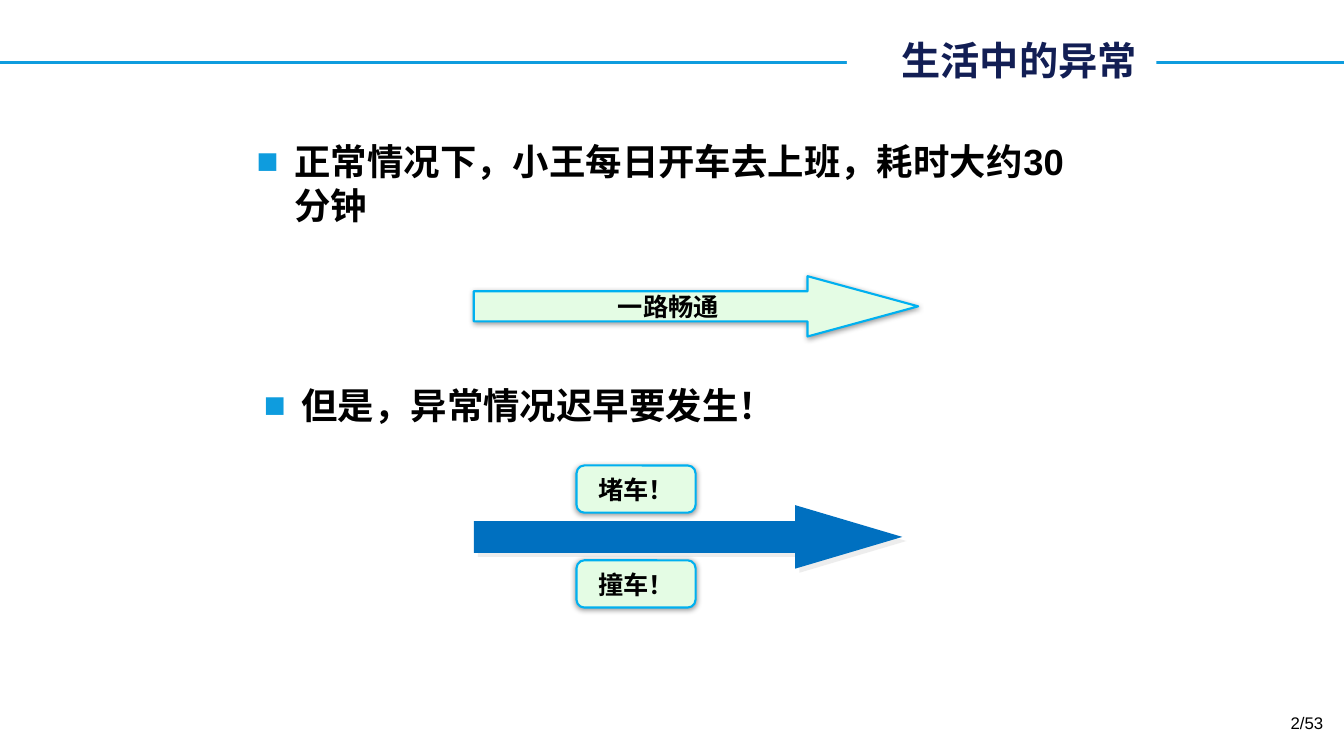
import pptx
import pptx.util
import pptx.dml.color
import pptx.enum.shapes
import pptx.enum.text
import pptx.oxml
import pptx.oxml.ns
from lxml import etree

Cm = pptx.util.Cm
Pt = pptx.util.Pt
SHAPE = pptx.enum.shapes.MSO_SHAPE
ALIGN = pptx.enum.text.PP_ALIGN
ANCHOR = pptx.enum.text.MSO_ANCHOR
qn = pptx.oxml.ns.qn

COLOURS = {
    "rule": "0E9CDE",
    "title": "121E54",
    "text": "000000",
    "paper": "FFFFFF",
    "pale": "E4FCE4",
    "outline": "00B0F0",
    "road": "0070C0",
    "grey": "DDDDDD",
}
CHINESE_FONT = "Noto Sans CJK SC"
# colour, opacity %, blur pt, distance pt, angle in degrees
SOFT_SHADOW = ("text", 40, 4, 1, 90)
HARD_SHADOW = ("grey", 50, 0, 4.2, 45)


def rgb(name):
    return pptx.dml.color.RGBColor.from_string(COLOURS[name])


def write(shape, text, size, bold=True, align=ALIGN.LEFT, anchor=ANCHOR.TOP,
          colour="text", font="Arial", bullet=False):
    """Put one formatted paragraph into a shape."""
    frame = shape.text_frame
    frame.word_wrap = True
    frame.vertical_anchor = anchor
    para = frame.paragraphs[0]
    para.text = text
    para.alignment = align
    if bullet:
        add_bullet(para)
    para.font.size = Pt(size)
    para.font.bold = bold
    para.font.name = font
    para.font.color.rgb = rgb(colour)
    defaults = para._p.pPr.find(qn("a:defRPr"))
    etree.SubElement(defaults, qn("a:ea"), typeface=CHINESE_FONT)


def add_bullet(para):
    properties = para._p.get_or_add_pPr()
    properties.set("marL", str(Cm(0.95)))
    properties.set("indent", str(-Cm(0.95)))
    colour = etree.SubElement(properties, qn("a:buClr"))
    etree.SubElement(colour, qn("a:srgbClr"), val=COLOURS["rule"])
    etree.SubElement(properties, qn("a:buFont"), typeface="Arial")
    etree.SubElement(properties, qn("a:buChar"), char="■")


def add_shadow(shape, colour, opacity, blur, distance, angle):
    shape.shadow.inherit = False
    effects = shape._element.spPr.find(qn("a:effectLst"))
    shadow = etree.SubElement(
        effects, qn("a:outerShdw"), blurRad=str(Pt(blur)), dist=str(Pt(distance)),
        dir=str(angle * 60000), algn="ctr", rotWithShape="0")
    tint = etree.SubElement(shadow, qn("a:srgbClr"), val=COLOURS[colour])
    etree.SubElement(tint, qn("a:alpha"), val=str(opacity * 1000))


def add_header(page, left, top, width, height, page_width):
    """Title on a white patch that interrupts a full-width rule."""
    title = page.shapes.title
    title.left, title.top, title.width, title.height = map(Cm, (left, top, width, height))
    title.fill.solid()
    title.fill.fore_color.rgb = rgb("paper")
    title.text_frame.margin_right = Cm(0.5)
    write(title, "生活中的异常", 28, align=ALIGN.RIGHT, anchor=ANCHOR.MIDDLE,
          colour="title", font=CHINESE_FONT)

    middle = Cm(top + height / 2 + 0.07)
    rule = page.shapes.add_connector(
        pptx.enum.shapes.MSO_CONNECTOR.STRAIGHT, 0, middle, page_width, middle)
    rule.line.color.rgb = rgb("rule")
    rule.line.width = Pt(2.25)
    etree.SubElement(rule._element.spPr, qn("a:effectLst"))
    title.element.addprevious(rule.element)


def add_text(page, left, top, width, height, text, size, **style):
    box = page.shapes.add_textbox(*map(Cm, (left, top, width, height)))
    write(box, text, size, **style)


def add_block(page, kind, left, top, width, height, adjustments, text="",
              fill="pale", outline="outline", shadow=SOFT_SHADOW):
    block = page.shapes.add_shape(kind, *map(Cm, (left, top, width, height)))
    for index, value in enumerate(adjustments):
        block.adjustments[index] = value
    block.fill.solid()
    block.fill.fore_color.rgb = rgb(fill)
    if outline:
        block.line.color.rgb = rgb(outline)
        block.line.width = Pt(1.5)
    else:
        block.line.fill.background()
    add_shadow(block, *shadow)
    if text:
        write(block, text, 18, align=ALIGN.CENTER, anchor=ANCHOR.MIDDLE)


def add_smooth_trip(page, left, top):
    add_block(page, SHAPE.RIGHT_ARROW, left, top, 11.2, 1.52, (0.5, 1.835), "一路畅通")


def add_troubled_trip(page, left, top):
    """Road arrow with one incident above and one below."""
    add_block(page, SHAPE.RIGHT_ARROW, left, top + 1, 10.8, 1.6, (0.5, 1.687),
              fill="road", outline=None, shadow=HARD_SHADOW)
    for index, incident in enumerate(("堵车！", "撞车！")):
        add_block(page, SHAPE.ROUNDED_RECTANGLE, left + 2.59, top + 2.39 * index,
                  3, 1.19, (0.167,), incident)


def main():
    deck = pptx.Presentation()
    deck.slide_width, deck.slide_height = Cm(33.87), Cm(19.05)
    page = deck.slides.add_slide(deck.slide_layouts[5])

    add_header(page, 21.34, 0.79, 7.8, 1.45, deck.slide_width)

    # Normal case
    add_text(page, 6.22, 3.38, 21.23, 13.92,
             "正常情况下，小王每日开车去上班，耗时大约30分钟", 26, bullet=True)
    add_smooth_trip(page, 11.94, 6.96)

    # Exceptional case
    add_text(page, 6.4, 9.53, 21.59, 1.6, "但是，异常情况迟早要发生！", 26, bullet=True)
    add_troubled_trip(page, 11.94, 11.73)

    # Page number
    add_text(page, 25.7, 17.83, 7.9, 1.02, "2/53", 12, bold=False, align=ALIGN.RIGHT)

    deck.save("out.pptx")


if __name__ == "__main__":
    main()
